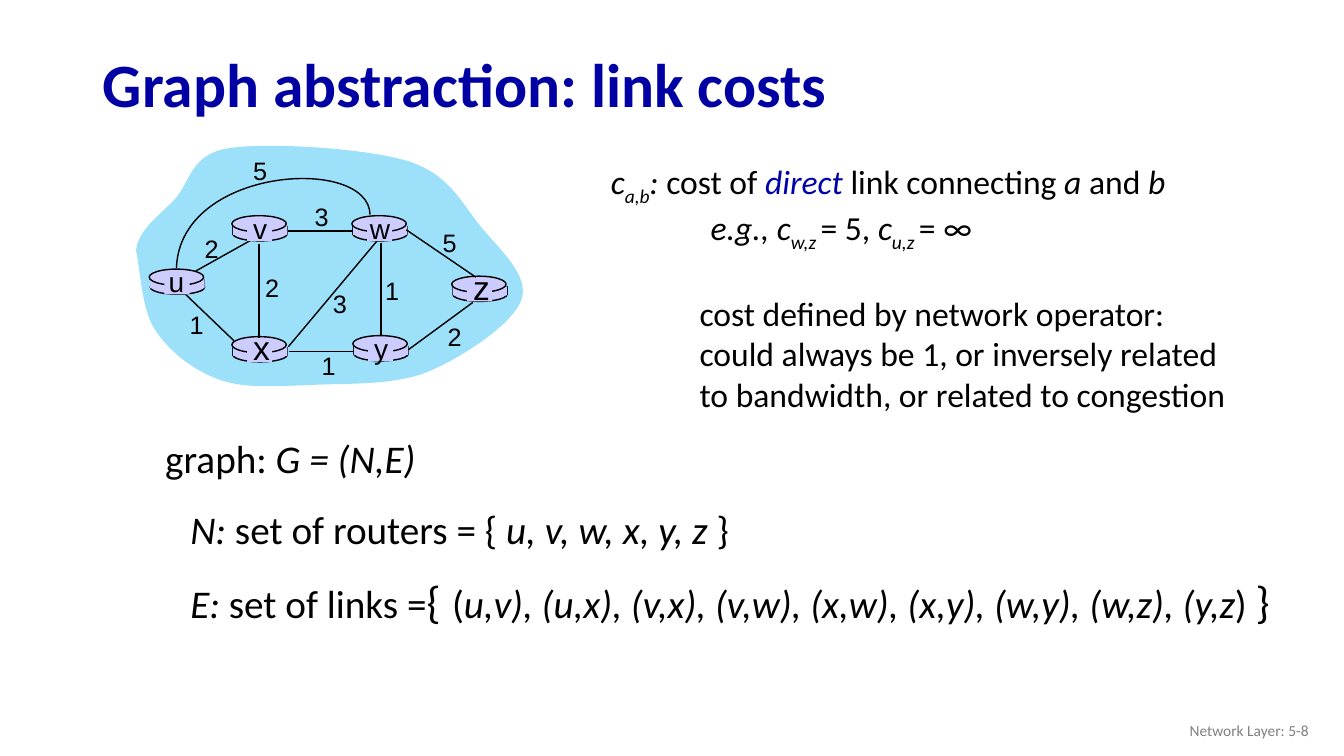
"""Build the slide that presents link costs in a network graph."""
from lxml import etree
from pptx import Presentation, util as u
from pptx.dml.color import RGBColor
from pptx.enum import shapes, text
from pptx.oxml import ns

COLORS = {"title": "0000A3", "direct": "0000A8", "ink": "000000", "footer": "808080",
          "cloud": "9CE0FA", "router": "CCCCFF"}
ITALIC = {"italic": True}
SUBSCRIPT = {"italic": True, "baseline": "-25000"}


def write(paragraph, runs, size, font="Calibri", color="ink"):
    """Add runs given as (text, format) pairs to a paragraph."""
    for words, changes in runs:
        values = {"size": size, "color": color, "name": font, **changes}
        run = paragraph.add_run()
        run.text = words
        run.font.color.rgb = RGBColor.from_string(COLORS[values.pop("color")])
        run.font.size = u.Pt(values.pop("size"))
        if "baseline" in values:
            run.font._element.set("baseline", values.pop("baseline"))
        for name, value in values.items():
            setattr(run.font, name, value)


def add_curve(collection, points, closed):
    """Draw a chain of cubic curves through its end and control points."""
    start, *others = [(u.Inches(x), u.Inches(y)) for x, y in points]
    builder = collection.build_freeform(*start)
    builder.add_line_segments(others, close=closed)
    shape = builder.convert_to_shape()
    shape.shadow.inherit = False
    segments = list(shape._element.iter(ns.qn("a:lnTo")))
    for first in range(0, len(segments), 3):
        curve = etree.Element(ns.qn("a:cubicBezTo"))
        segments[first].addprevious(curve)
        for segment in segments[first:first + 3]:
            curve.append(segment[0])
            segment.getparent().remove(segment)
    return shape


presentation = Presentation()
presentation.slide_width = u.Inches(13.33)
presentation.slide_height = u.Inches(7.5)
slide = presentation.slides.add_slide(presentation.slide_layouts[5])

title = slide.shapes.title
for name, value in {"left": 0.92, "top": 0.38, "width": 7.5, "height": 0.98}.items():
    setattr(title, name, u.Inches(value))
title.text_frame.auto_size = text.MSO_AUTO_SIZE.NONE
title.text_frame.vertical_anchor = text.MSO_ANCHOR.MIDDLE
heading = title.text_frame.paragraphs[0]
heading.alignment = text.PP_ALIGN.LEFT
heading.line_spacing = 0.9
write(heading, [("Graph abstraction: link costs", {"bold": True})], 44, color="title")

graph = slide.shapes.add_group_shape().shapes
cloud = add_curve(graph, [
    (1.35, 2.49), (1.36, 2.29), (1.58, 2.14), (1.74, 1.97), (1.89, 1.8), (1.89, 1.53),
    (2.27, 1.47), (2.66, 1.41), (3.63, 1.47), (4.05, 1.6), (4.46, 1.73), (4.58, 2.02),
    (4.77, 2.25), (4.96, 2.48), (5.26, 2.74), (5.17, 2.98), (5.08, 3.22), (4.58, 3.55),
    (4.24, 3.69), (3.89, 3.83), (3.42, 3.8), (3.08, 3.82), (2.73, 3.83), (2.42, 3.86),
    (2.16, 3.76), (1.91, 3.67), (1.67, 3.48), (1.53, 3.26), (1.4, 3.05), (1.39, 2.65),
    (1.35, 2.49)], True)
cloud.fill.solid()
cloud.fill.fore_color.rgb = RGBColor.from_string(COLORS["cloud"])
cloud.line.fill.background()

routers = [(1.48, 2.67), (2.3, 3.34), (2.3, 2.14), (3.49, 2.14), (3.5, 3.33), (4.48, 2.74)]
links = [(1.94, 2.69, 2.53, 2.36), (3.78, 2.41, 3.78, 3.32), (2.57, 2.42, 2.57, 3.35),
         (2.86, 3.44, 3.74, 2.39), (4.05, 3.47, 4.69, 3), (3.51, 3.49, 2.87, 3.49),
         (2.32, 3.38, 1.84, 2.92), (3.5, 2.29, 2.86, 2.29), (4.72, 2.75, 4.03, 2.28)]
names = [("u", 1.57, 2.58, 0.36, 0.43, 20), ("y", 3.61, 3.24, 0.34, 0.43, 20),
         ("x", 2.41, 3.19, 0.37, 0.5, 24), ("w", 3.57, 2.05, 0.4, 0.43, 20),
         ("v", 2.41, 2.05, 0.34, 0.43, 20), ("z", 4.59, 2.6, 0.37, 0.5, 24)]
costs = [("2", 1.93, 2.27), ("2", 2.53, 2.65), ("1", 1.78, 3.02), ("3", 3.2, 2.81),
         ("1", 3.09, 3.43), ("1", 3.72, 2.68), ("2", 4.34, 3.14), ("5", 4.29, 2.21),
         ("3", 3.02, 1.95), ("5", 2.41, 1.49)]
oval, rectangle = shapes.MSO_SHAPE.OVAL, shapes.MSO_SHAPE.RECTANGLE

pieces = [("link", links[0])]
for left, top in routers:
    pieces += [(oval, (left + 0.01, top + 0.11, 0.54, 0.14))]
    pieces += [("link", (x, top + 0.1, x, top + 0.19)) for x in (left + 0.01, left + 0.55)]
    pieces += [(rectangle, (left + 0.01, top + 0.1, 0.54, 0.09)),
               (oval, (left, top, 0.54, 0.16))]
pieces += [("link", link) for link in links[1:]]
pieces += [(rectangle, (left + 0.15, top + 0.02, 0.25, 0.23)) for left, top in routers]

for kind, place in pieces:
    lengths = [u.Inches(length) for length in place]
    if kind == "link":
        shape = graph.add_connector(shapes.MSO_CONNECTOR.STRAIGHT, *lengths)
        etree.SubElement(shape._element.spPr, ns.qn("a:effectLst"))
    else:
        shape = graph.add_shape(kind, *lengths)
        shape.shadow.inherit = False
        shape.fill.solid()
        shape.fill.fore_color.rgb = RGBColor.from_string(COLORS["router"])
    if kind == rectangle:
        shape.line.fill.background()
    else:
        shape.line.color.rgb = RGBColor.from_string(COLORS["ink"])
        shape.line.width = u.Pt(1)

arc = add_curve(graph, [(3.67, 2.13), (3.66, 1.54), (1.78, 1.65), (1.75, 2.66)], False)
arc.fill.background()
arc.line.color.rgb = RGBColor.from_string(COLORS["ink"])
arc.line.width = u.Pt(1)

labels = names + [(cost, left, top, 0.34, 0.4, 18) for cost, left, top in costs]
for label, *place, size in labels:
    frame = graph.add_textbox(*[u.Inches(length) for length in place]).text_frame
    frame.word_wrap = False
    frame.auto_size = text.MSO_AUTO_SIZE.SHAPE_TO_FIT_TEXT
    frame.paragraphs[0].alignment = text.PP_ALIGN.CENTER
    write(frame.paragraphs[0], [(label, {})], size, "Arial")

pairs = "u,v), (u,x), (v,x), (v,w), (x,w), (x,y), (w,y), (w,z), (y,z"
statements = [
    ((1.54, 4.26, 2.71, 1.04), [("graph: ", {}), ("G = (N,E)", ITALIC)]),
    ((1.79, 4.96, 5.59, 0.57), [("N: ", ITALIC), ("set of routers = { ", {}),
                                ("u, v, w, x, y, z ", ITALIC), ("}", {})]),
    ((1.79, 5.59, 11.02, 0.71), [("E: ", ITALIC), ("set of links =", {}), ("{", {"size": 32}),
                                 (" ", {"size": 36}), ("(", {}), (pairs, ITALIC),
                                 (") ", {}), ("}", {"size": 32})])]
for place, runs in statements:
    frame = slide.shapes.add_textbox(*[u.Inches(length) for length in place]).text_frame
    frame.word_wrap = False
    write(frame.paragraphs[0], runs, 28)

explanation = [
    (0, 0, 0, [("c", ITALIC), ("a,b", SUBSCRIPT), (": ", ITALIC), ("cost of ", {}),
               ("direct", {"italic": True, "color": "direct"}), (" link connecting ", {}),
               ("a", ITALIC), (" and ", {}), ("b", ITALIC)]),
    (0, 0.99, 0, [("e.g., c", ITALIC), ("w,z ", SUBSCRIPT), ("= 5, ", {}), ("c", ITALIC),
                  ("u,z ", SUBSCRIPT), ("= ∞", {})]),
    (1, 0.88, 28.5, [("cost defined by network operator: could always be 1, or inversely "
                      "related to bandwidth, or related to congestion", {})])]
frame = slide.shapes.add_textbox(u.Inches(5.96), u.Inches(1.55),
                                 u.Inches(6.44), u.Inches(2.52)).text_frame
frame.word_wrap = True
for index, (level, indent, gap, runs) in enumerate(explanation):
    paragraph = frame.add_paragraph() if index else frame.paragraphs[0]
    paragraph.level = level
    paragraph.space_before = u.Pt(gap)
    paragraph._p.get_or_add_pPr().set("marL", str(u.Inches(indent)))
    write(paragraph, runs, 24)

footer = slide.shapes.add_textbox(u.Inches(10.08), u.Inches(7.05), u.Inches(3), u.Inches(0.4))
footer.text_frame.word_wrap = True
footer.text_frame.vertical_anchor = text.MSO_ANCHOR.MIDDLE
footer.text_frame.paragraphs[0].alignment = text.PP_ALIGN.RIGHT
write(footer.text_frame.paragraphs[0], [("Network Layer: 5-8", {})], 11, color="footer")

presentation.save("out.pptx")
